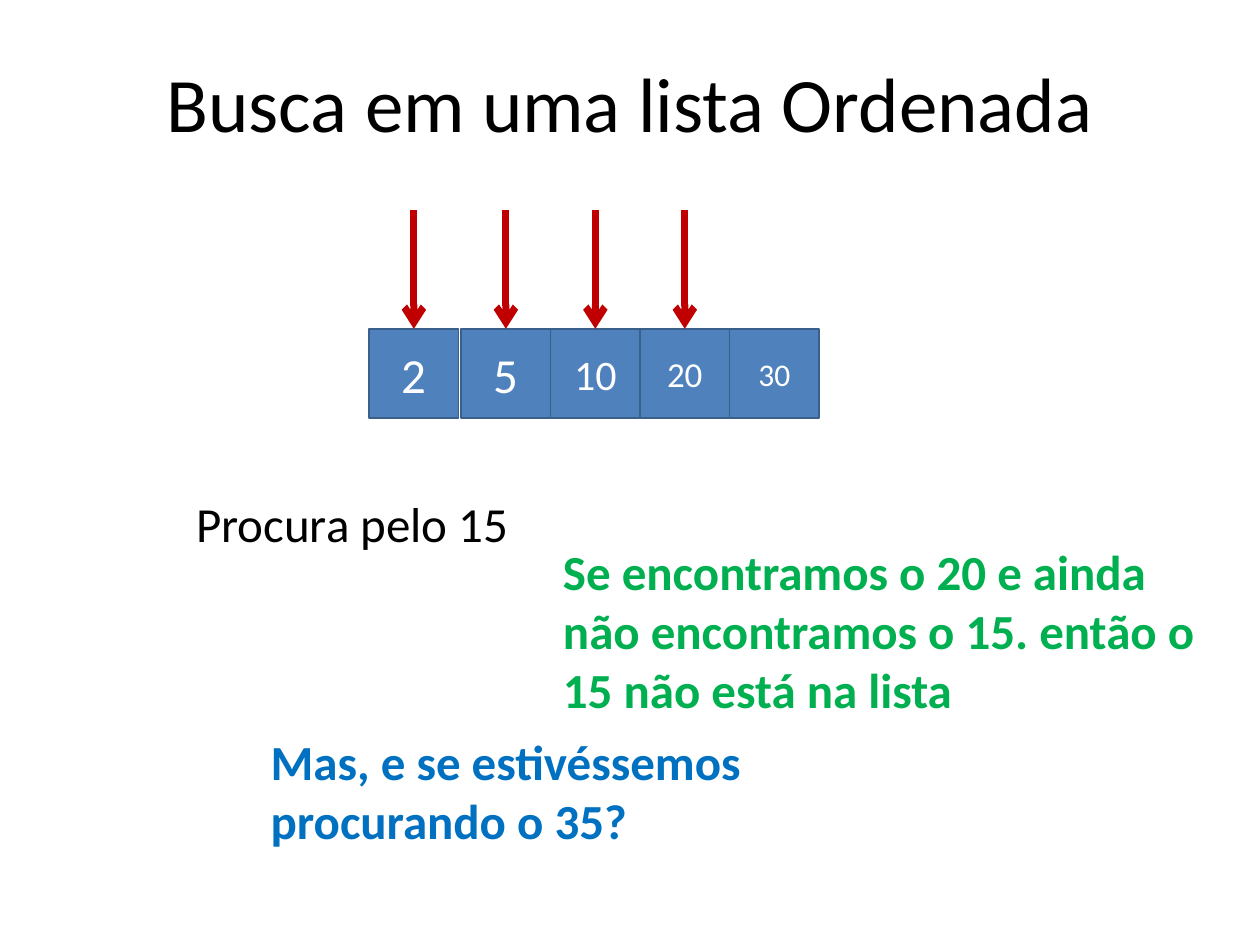
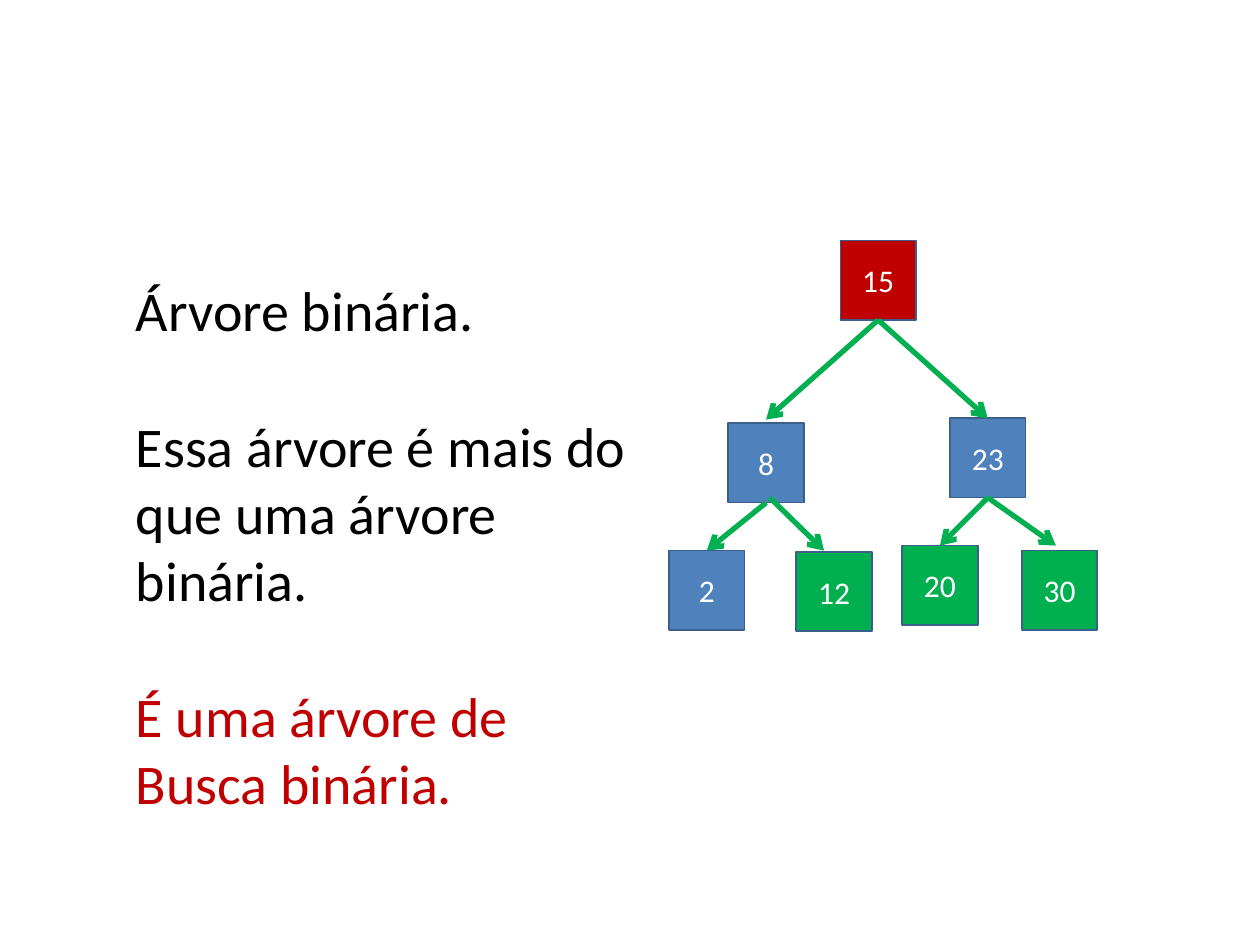
import pptx
import pptx.util
import pptx.dml.color
import pptx.enum.shapes
import pptx.enum.text
import pptx.oxml.ns
import lxml.etree
from dataclasses import dataclass

Inches = pptx.util.Inches
Pt = pptx.util.Pt
PP_ALIGN = pptx.enum.text.PP_ALIGN
MSO_ANCHOR = pptx.enum.text.MSO_ANCHOR


@dataclass(frozen=True)
class Theme:
    font: str = "Calibri"
    black: str = "000000"
    white: str = "FFFFFF"
    blue: str = "4F81BD"
    outline: str = "3A5F8B"
    red: str = "C00000"
    green: str = "00B050"
    question_blue: str = "0070C0"
    title_size: int = 44
    text_size: int = 32
    note_size: int = 28
    node_size: int = 18
    paragraph_gap: int = 39


THEME = Theme()


def rgb(color):
    return pptx.dml.color.RGBColor.from_string(color)


def style_paragraph(paragraph, size, color, bold=False, align=PP_ALIGN.LEFT):
    paragraph.alignment = align
    for run in paragraph.runs:
        run.font.name = THEME.font
        run.font.size = Pt(size)
        run.font.bold = bold
        run.font.color.rgb = rgb(color)


def add_text(slide, box, paragraphs, size, bold=False, align=PP_ALIGN.LEFT,
             anchor=MSO_ANCHOR.TOP, gap=0):
    """Place (text, color) paragraphs in a wrapping text box."""
    frame = slide.shapes.add_textbox(*map(Inches, box)).text_frame
    frame.word_wrap = True
    frame.vertical_anchor = anchor
    frame.text = "\n".join(text for text, _ in paragraphs)
    for index, (paragraph, (_, color)) in enumerate(zip(frame.paragraphs, paragraphs)):
        style_paragraph(paragraph, size, color, bold, align)
        paragraph.space_before = Pt(gap if index else 0)


def add_number_box(slide, box, number, size, fill):
    square = slide.shapes.add_shape(
        pptx.enum.shapes.MSO_SHAPE.RECTANGLE, *map(Inches, box))
    square.shadow.inherit = False
    square.fill.solid()
    square.fill.fore_color.rgb = rgb(fill)
    square.line.color.rgb = rgb(THEME.outline)
    square.line.width = Pt(1)
    frame = square.text_frame
    frame.vertical_anchor = MSO_ANCHOR.MIDDLE
    frame.text = str(number)
    style_paragraph(frame.paragraphs[0], size, THEME.white, align=PP_ALIGN.CENTER)


def add_arrow(slide, start, tip, color, width):
    arrow = slide.shapes.add_connector(
        pptx.enum.shapes.MSO_CONNECTOR.STRAIGHT, *map(Inches, (*start, *tip)))
    arrow.line.color.rgb = rgb(color)
    arrow.line.width = Pt(width)
    qn = pptx.oxml.ns.qn
    lxml.etree.SubElement(arrow.line._get_or_add_ln(), qn("a:tailEnd"), type="arrow")
    lxml.etree.SubElement(arrow._element.spPr, qn("a:effectLst"))


def build_ordered_list(slide):
    add_text(slide, (0.5, 0.3, 9, 1.01),
             [("Busca em uma lista Ordenada", THEME.black)], THEME.title_size,
             align=PP_ALIGN.CENTER, anchor=MSO_ANCHOR.MIDDLE)

    # List cells: the first stands slightly apart, the rest touch
    side, top, arrow_top = 0.71, 2.61, 1.67
    cells = [(2, 28), (5, 28), (10, 24), (20, 20), (30, 18)]
    lefts = [2.93] + [3.66 + side * i for i in range(len(cells) - 1)]
    for left, (number, size) in zip(lefts, cells):
        add_number_box(slide, (left, top, side, side), number, size, THEME.blue)

    # Visited cells: the search stops at 20
    for left in lefts[:4]:
        center = left + side / 2
        add_arrow(slide, (center, arrow_top), (center, top), THEME.red, 4)

    # Search remarks
    add_text(slide, (1.46, 3.87, 5.43, 0.56),
             [("Procura pelo 15", THEME.black)], THEME.note_size)
    add_text(slide, (4.37, 4.25, 5.34, 1.5),
             [("Se encontramos o 20 e ainda não encontramos o 15. então o 15 "
               "não está na lista", THEME.green)], THEME.note_size, bold=True)
    add_text(slide, (2.05, 5.76, 5.34, 1.03),
             [("Mas, e se estivéssemos procurando o 35?", THEME.question_blue)],
             THEME.note_size, bold=True)


def build_search_tree(slide):
    node_width, node_height = 0.6, 0.63
    # Node number: left, top, fill
    nodes = {
        8: (5.78, 3.36, THEME.blue),
        12: (6.32, 4.38, THEME.green),
        15: (6.67, 1.91, THEME.red),
        20: (7.16, 4.33, THEME.green),
        23: (7.54, 3.32, THEME.blue),
        30: (8.11, 4.37, THEME.green),
        2: (5.31, 4.37, THEME.blue),
    }
    # Parent, child, shift of the arrow's start, shift of its tip
    branches = [
        (15, 8, (0, 0), (0, -0.03)),
        (15, 23, (0, 0), (0, 0)),
        (23, 30, (0, 0), (-0.03, -0.04)),
        (23, 20, (0, 0), (0, 0)),
        (8, 12, (0.03, -0.04), (-0.08, -0.01)),
        (8, 2, (0, 0), (0, 0)),
    ]

    def add_node(number):
        left, top, fill = nodes[number]
        add_number_box(slide, (left, top, node_width, node_height),
                       number, THEME.node_size, fill)

    def edge_point(number, drop, shift):
        left, top, _ = nodes[number]
        return left + node_width / 2 + shift[0], top + drop + shift[1]

    # Tree: the leaf 2 lies over its arrow
    for number in nodes:
        if number != 2:
            add_node(number)
    for parent, child, start_shift, tip_shift in branches:
        add_arrow(slide, edge_point(parent, node_height, start_shift),
                  edge_point(child, 0, tip_shift), THEME.green, 3)
    add_node(2)

    # Explanation
    add_text(slide, (0.98, 2.14, 4.25, 4.36),
             [("Árvore binária.", THEME.black),
              ("Essa árvore é mais do que uma árvore binária.", THEME.black),
              ("É uma árvore de Busca binária.", THEME.red)],
             THEME.text_size, gap=THEME.paragraph_gap)


def main():
    deck = pptx.Presentation()
    deck.slide_width, deck.slide_height = Inches(10), Inches(7.5)
    for build in (build_ordered_list, build_search_tree):
        build(deck.slides.add_slide(deck.slide_layouts[6]))
    deck.save("out.pptx")


if __name__ == "__main__":
    main()
